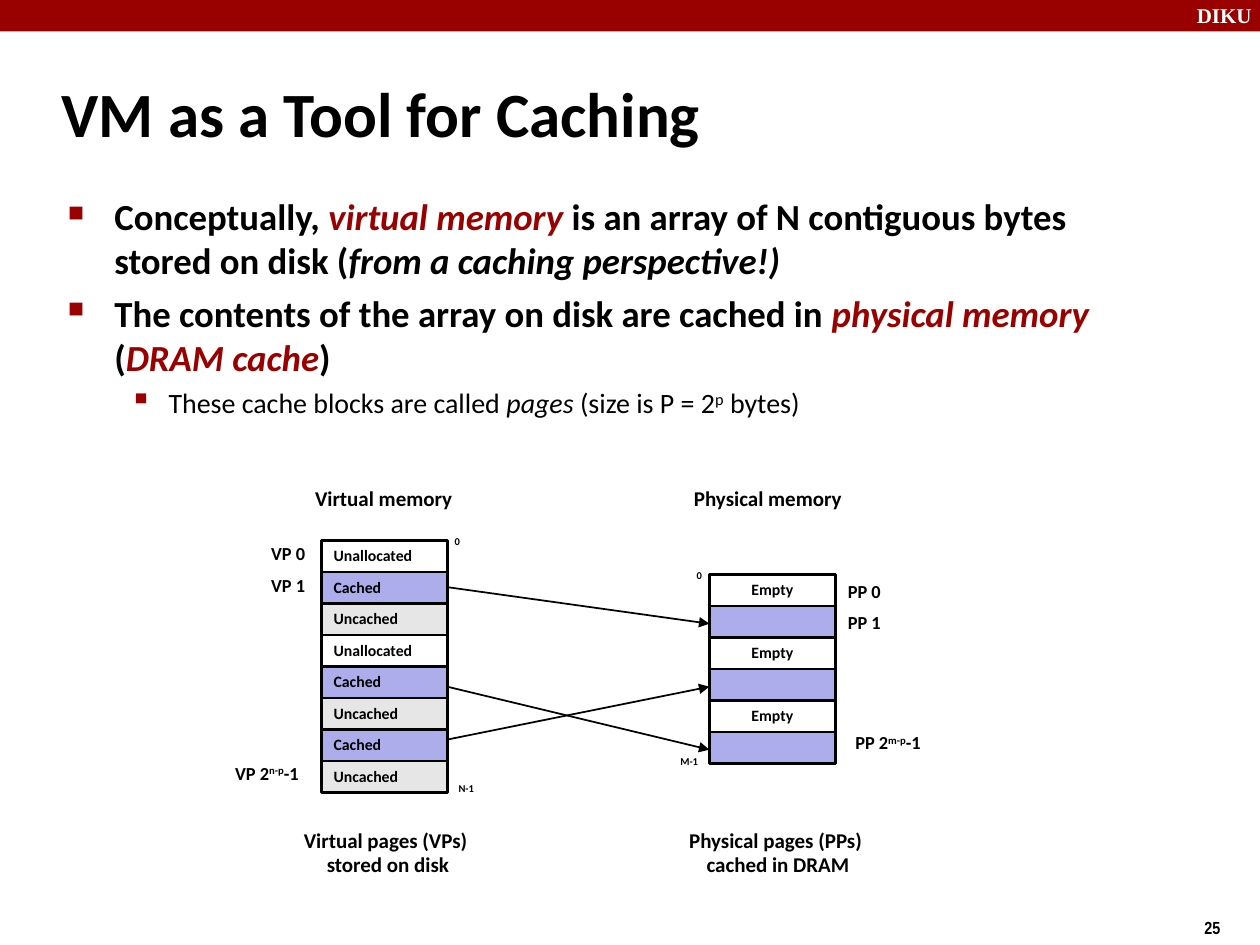
from lxml import etree
from pptx import Presentation, util as u
from pptx.dml.color import RGBColor
from pptx.enum import shapes, text
from pptx.oxml.ns import qn

INK = {"red": "990000", "black": "000000", "white": "FFFFFF",
       "blue": "ADADEB", "gray": "E6E6E6"}
SIDE = {"l": text.PP_ALIGN.LEFT, "c": text.PP_ALIGN.CENTER,
        "r": text.PP_ALIGN.RIGHT}
TOP, MID = text.MSO_ANCHOR.TOP, text.MSO_ANCHOR.MIDDLE


class Deck:
    face = "Calibri"

    def __init__(self, wide, high):
        self.prs = Presentation()
        self.prs.slide_width = u.Inches(wide)
        self.prs.slide_height = u.Inches(high)
        self.slide = self.prs.slides.add_slide(self.prs.slide_layouts[6])

    def color(self, name):
        return RGBColor.from_string(INK[name])

    def style(self, font, size, bold=True, ink="black", face=None):
        font.name = face or self.face
        font.size = u.Pt(size)
        font.bold = bold
        font.color.rgb = self.color(ink)

    def runs(self, para, parts, size, bold=True, **look):
        """Each part is (words, marks): i italic, r red, ^ superscript."""
        for words, marks in parts:
            run = para.add_run()
            run.text = words
            self.style(run.font, size, bold, **look)
            run.font.italic = "i" in marks
            if "r" in marks:
                run.font.color.rgb = self.color("red")
            if "^" in marks:
                run._r.get_or_add_rPr().set("baseline", "30000")

    def label(self, at, lines, size, side="l", gap=0.98, anchor=MID,
              wrap=False, **look):
        box = self.slide.shapes.add_textbox(*map(u.Inches, at))
        frame = box.text_frame
        frame.word_wrap = wrap
        if not wrap:
            frame.auto_size = text.MSO_AUTO_SIZE.SHAPE_TO_FIT_TEXT
        frame.vertical_anchor = anchor
        if isinstance(lines, str):
            frame.text = lines
            for para in frame.paragraphs:
                for run in para.runs:
                    self.style(run.font, size, **look)
        else:
            self.runs(frame.paragraphs[0], lines, size, **look)
        for para in frame.paragraphs:
            para.alignment = SIDE[side]
            para.line_spacing = gap

    def bullets(self, at, items):
        frame = self.slide.shapes.add_textbox(*map(u.Inches, at)).text_frame
        frame.word_wrap = True
        for i, (level, parts) in enumerate(items):
            para = frame.add_paragraph() if i else frame.paragraphs[0]
            left, hang, sign, scale, size, space = (
                (0.81, 0.31, "▪", 110, 16, 4) if level
                else (0.38, 0.37, "■", 60, 21, 4.8))
            if i:
                para.space_before = u.Pt(space)
            para.level = level
            prop = para._p.get_or_add_pPr()
            prop.set("marL", str(u.Inches(left)))
            prop.set("indent", str(-u.Inches(hang)))
            tint = etree.SubElement(prop, qn("a:buClr"))
            etree.SubElement(tint, qn("a:srgbClr"), val=INK["red"])
            etree.SubElement(prop, qn("a:buSzPct"), val=str(scale * 1000))
            etree.SubElement(prop, qn("a:buChar"), char=sign)
            self.runs(para, parts, size, bold=not level)

    def rect(self, at, fill, words="", side="l", line=True):
        box = self.slide.shapes.add_shape(
            shapes.MSO_SHAPE.RECTANGLE, *map(u.Inches, at))
        box.shadow.inherit = False
        box.fill.solid()
        box.fill.fore_color.rgb = self.color(fill)
        if line:
            box.line.color.rgb = self.color("black")
            box.line.width = u.Pt(1.5)
        else:
            box.line.fill.background()
        if words:
            frame = box.text_frame
            frame.text = words
            frame.word_wrap = False
            frame.vertical_anchor = MID
            para = frame.paragraphs[0]
            para.alignment = SIDE[side]
            para.line_spacing = 0.98
            self.style(para.runs[0].font, 9)

    def arrow(self, *ends):
        link = self.slide.shapes.add_connector(
            shapes.MSO_CONNECTOR.STRAIGHT, *map(u.Inches, ends))
        link.line.color.rgb = self.color("black")
        link.line.width = u.Pt(1)
        etree.SubElement(link.line._get_or_add_ln(), qn("a:tailEnd"),
                         type="triangle")
        etree.SubElement(link._element.spPr, qn("a:effectLst"))


def main():
    deck = Deck(10, 7.5)

    # Header bar and page number
    deck.rect((0, 0, 10, 0.25), "red", line=False)
    deck.label((9.4, -0.03, 0.67, 0.3), "DIKU", 12, gap=1, anchor=TOP,
               wrap=True, ink="white", face="Times New Roman")
    deck.label((9.46, 7.23, 0.75, 0.27), "25", 10, gap=1, anchor=TOP,
               wrap=True, face="Arial Narrow")

    # Title and bullets
    deck.label((0.39, 0.48, 8.3, 0.83), "VM as a Tool for Caching", 36,
               gap=1, wrap=True)
    deck.bullets((0.43, 1.49, 8.64, 2.26), [
        (0, [("Conceptually,", ""), (" virtual memory ", "ir"),
             ("is an array of N contiguous bytes stored on disk (", ""),
             ("from a caching perspective!)", "i")]),
        (0, [("The contents of the array on disk are cached in ", ""),
             ("physical memory", "ir"), (" (", ""),
             ("DRAM cache", "ir"), (")", "")]),
        (1, [("These cache blocks are called ", ""), ("pages ", "i"),
             ("(size is P = 2", ""), ("p", "^"), (" bytes)", "")]),
    ])

    # Page tables
    step = 0.25
    tint = {"Unallocated": "white", "Cached": "blue", "Uncached": "gray",
            "Empty": "white", "": "blue"}
    virtual = ["Unallocated", "Cached", "Uncached", "Unallocated",
               "Cached", "Uncached", "Cached", "Uncached"]
    for left, top, side, pages in ((2.55, 4.29, "l", virtual),
                                   (5.63, 4.56, "c", ["Empty", ""] * 3)):
        for i, page in enumerate(pages):
            deck.rect((left, top + i * step, 1, step), tint[page], page, side)

    # Page names
    for i in range(2):
        deck.label((2.05, 4.28 + i * step, 0.47, 0.25), f"VP {i}", 10.5,
                   "r", 0.88, TOP)
        deck.label((6.63, 4.56 + i * step, 0.46, 0.27), f"PP {i}", 10.5, "c")
    for at, name, power, side in (
            ((1.67, 6.02, 0.8, 0.25), "VP 2", "n-p", "r"),
            ((6.69, 5.78, 0.8, 0.25), "PP 2", "m-p", "l")):
        deck.label(at, [(name, ""), (power, "^"), ("-1", "")], 10.5,
                   side, 0.88, TOP)

    # Byte addresses
    for left, top, wide, name in ((3.51, 4.2, 0.24, "0"),
                                  (3.54, 6.16, 0.32, "N-1"),
                                  (5.43, 4.47, 0.24, "0"),
                                  (5.3, 5.95, 0.34, "M-1")):
        deck.label((left, top, wide, 0.2), name, 6, "c")

    # Headings and captions
    for left, wide, name in ((2.35, 1.39, "Virtual memory"),
                             (5.36, 1.47, "Physical memory")):
        deck.label((left, 3.83, wide, 0.27), name, 12, "c", 0.88, TOP)
    for left, wide, name in (
            (2.31, 1.54, "Virtual pages (VPs) \nstored on disk"),
            (5.37, 1.61, "Physical pages (PPs) \ncached in DRAM")):
        deck.label((left, 6.52, wide, 0.5), name, 12, "c")

    # Cached pages point to their frames
    for start, end in ((4.66, 4.95), (5.45, 5.95), (5.87, 5.45)):
        deck.arrow(3.55, start, 5.63, end)

    deck.prs.save("out.pptx")


if __name__ == "__main__":
    main()
